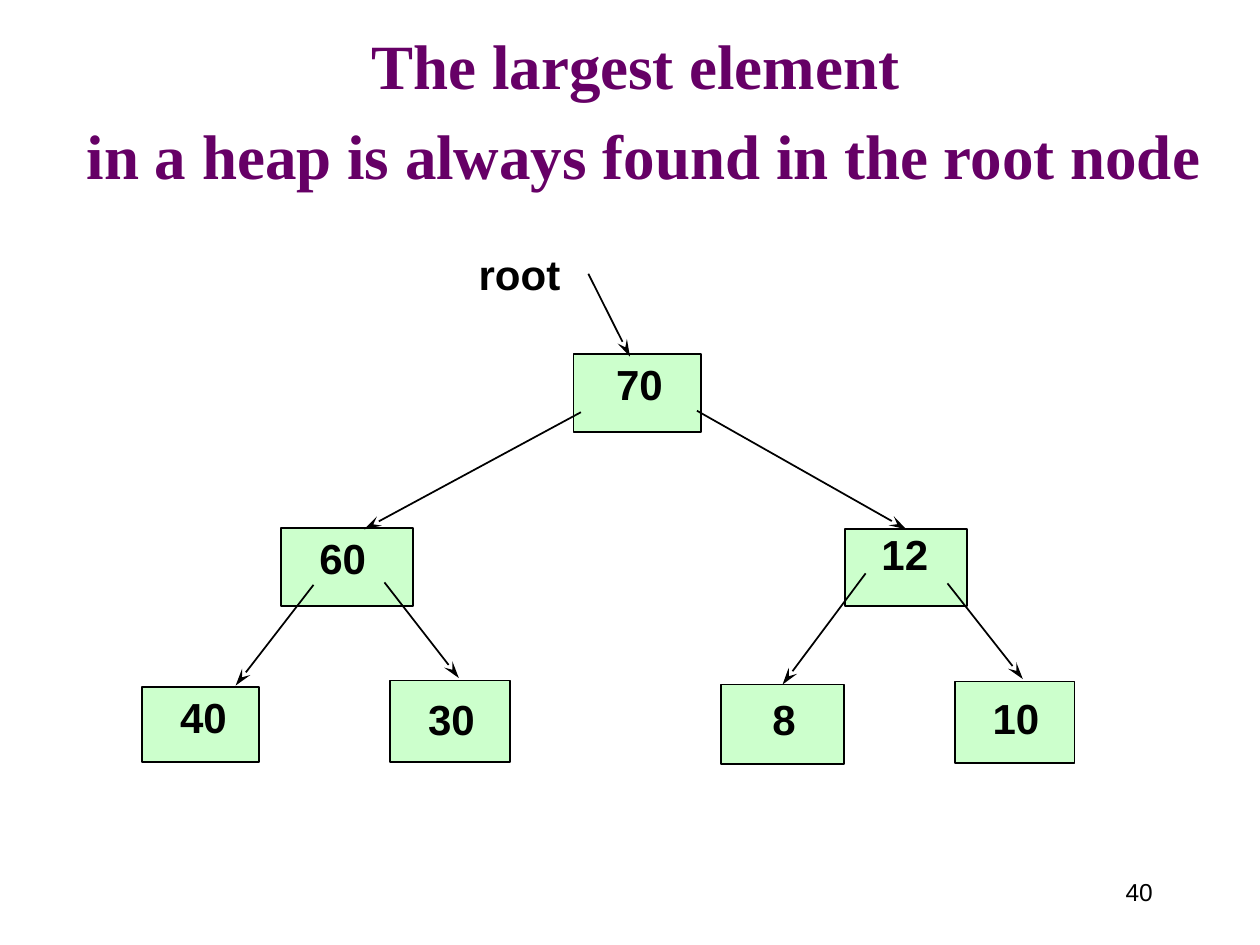
from lxml import etree
from pptx import Presentation
from pptx.dml.color import RGBColor
from pptx.enum import shapes, text
from pptx.oxml import ns
from pptx.util import Cm, Pt

BLACK, GREEN, PURPLE = "000000", "CCFFCC", "660066"

NODES = {
    "70": ((8.69, 2.26, 2.57, 1.57), (0.61, -0.03)),
    "60": ((2.79, 5.77, 2.67, 1.57), (0.53, -0.03)),
    "12": ((14.17, 5.79, 2.46, 1.55), (0.48, -0.15)),
    "40": ((0, 8.97, 2.36, 1.52), (0.51, -0.03)),
    "30": ((5, 8.84, 2.41, 1.65), (0.51, 0.13)),
    "8": ((11.66, 8.92, 2.49, 1.6), (0.79, 0.05)),
    "10": ((16.38, 8.86, 2.41, 1.65), (0.51, 0.1)),
}
ARROWS = [
    ((8.99, 0.64), (9.83, 2.31), None),
    ((8.84, 3.43), (4.47, 5.79), None),
    ((11.18, 3.4), (15.32, 5.82), "12"),
    ((3.45, 6.91), (1.88, 8.94), None),
    ((4.88, 6.86), (6.38, 8.79), None),
    ((14.58, 6.68), (12.93, 8.79), "8"),
    ((16.23, 6.88), (17.75, 8.81), None),
]


def color(value):
    return RGBColor.from_string(value)


def add_run(paragraph, words, size, font="Arial", bold=True, ink=BLACK):
    run = paragraph.add_run()
    run.text = words
    run.font.name = font
    run.font.size = Pt(size)
    run.font.bold = bold
    run.font.color.rgb = color(ink)


def add_frame(slide, left, top, width, height):
    frame = slide.shapes.add_textbox(Cm(left), Cm(top), Cm(width), Cm(height)).text_frame
    frame.word_wrap = True
    return frame


def add_title(slide, left, top, width, height):
    title = add_frame(slide, left, top, width, height)
    title.vertical_anchor = text.MSO_ANCHOR.BOTTOM
    first = title.paragraphs[0]
    second = title.add_paragraph()
    second.space_before = Pt(8)
    lines = ["The largest element", " in a heap is always found in the root node"]
    for paragraph, words in zip((first, second), lines):
        paragraph.alignment = text.PP_ALIGN.CENTER
        add_run(paragraph, words, 36, "Times New Roman", ink=PURPLE)


def add_label(slide, words, left, top, width):
    label = add_frame(slide, left, top, width, 1.27)
    add_run(label.paragraphs[0], words, 24)


def add_node(slide, value, left, top, width, height, shift):
    node = slide.shapes.add_shape(
        shapes.MSO_SHAPE.RECTANGLE, Cm(left), Cm(top), Cm(width), Cm(height))
    node.shadow.inherit = False
    node.fill.solid()
    node.fill.fore_color.rgb = color(GREEN)
    node.line.color.rgb = color(BLACK)
    node.line.width = Pt(1)
    add_label(slide, value, left + shift[0], top + shift[1], 1.6)
    return node


def add_arrow(slide, start, end, child=None):
    arrow = slide.shapes.add_connector(
        shapes.MSO_CONNECTOR.STRAIGHT, *(Cm(length) for length in start + end))
    if child is not None:
        arrow.end_connect(child, 0)
    arrow.line.color.rgb = color(BLACK)
    arrow.line.width = Pt(1)
    outline = arrow.line._get_or_add_ln()
    etree.SubElement(outline, ns.qn("a:tailEnd"), type="stealth", w="med", len="lg")
    etree.SubElement(arrow._element.spPr, ns.qn("a:effectLst"))


def add_heap(slide, left, top):
    add_label(slide, "root", left + 6.53, top, 2.67)
    nodes = {
        value: add_node(slide, value, left + x, top + y, width, height, shift)
        for value, ((x, y, width, height), shift) in NODES.items()
    }
    for (x1, y1), (x2, y2), child in ARROWS:
        add_arrow(slide, (left + x1, top + y1), (left + x2, top + y2), nodes.get(child))


def add_page_number(slide, left, top, width, height):
    number = add_frame(slide, left, top, width, height)
    number.vertical_anchor = text.MSO_ANCHOR.MIDDLE
    number.paragraphs[0].alignment = text.PP_ALIGN.RIGHT
    add_run(number.paragraphs[0], "40", 14, bold=False)


def main():
    deck = Presentation()
    deck.slide_width, deck.slide_height = Cm(25.4), Cm(19.05)
    slide = deck.slides.add_slide(deck.slide_layouts[6])
    add_title(slide, 0.99, 0.89, 23.65, 3.11)
    add_heap(slide, 2.87, 4.88)
    add_page_number(slide, 21.79, 17.35, 1.7, 1.27)
    deck.save("out.pptx")


if __name__ == "__main__":
    main()
